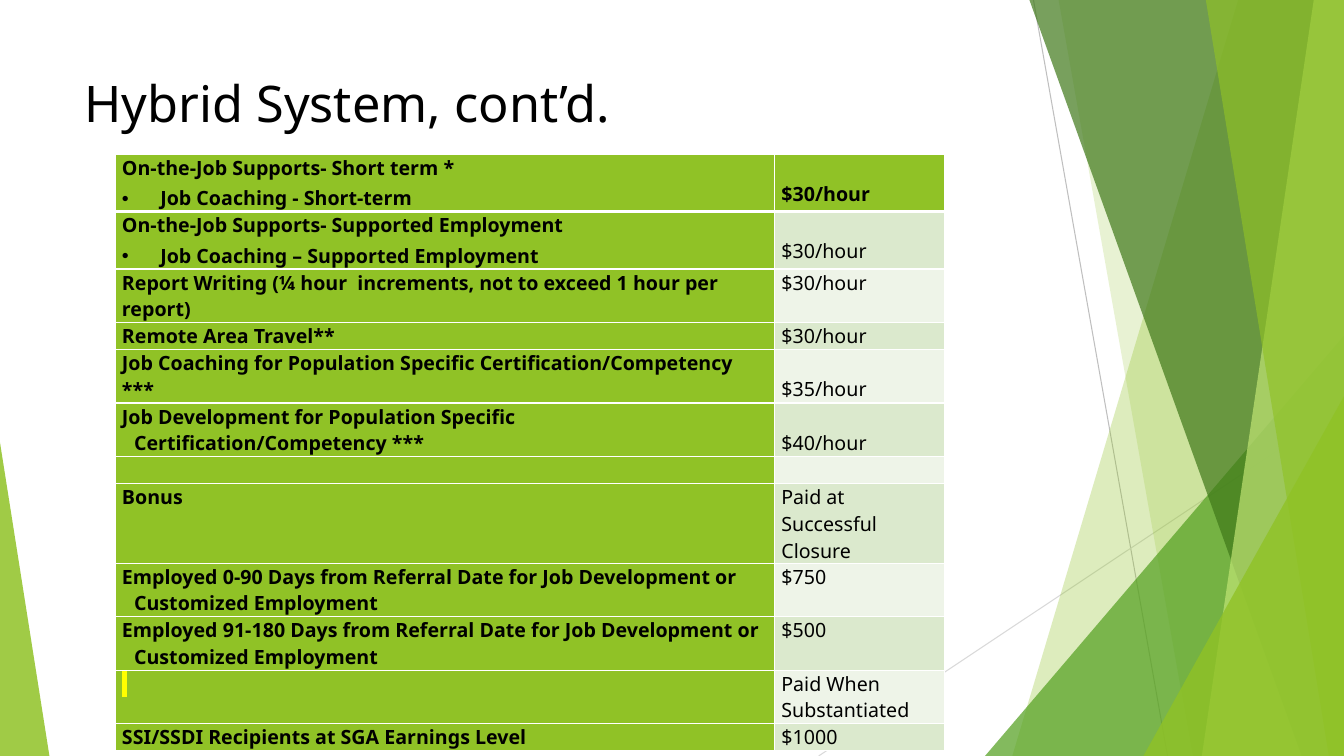
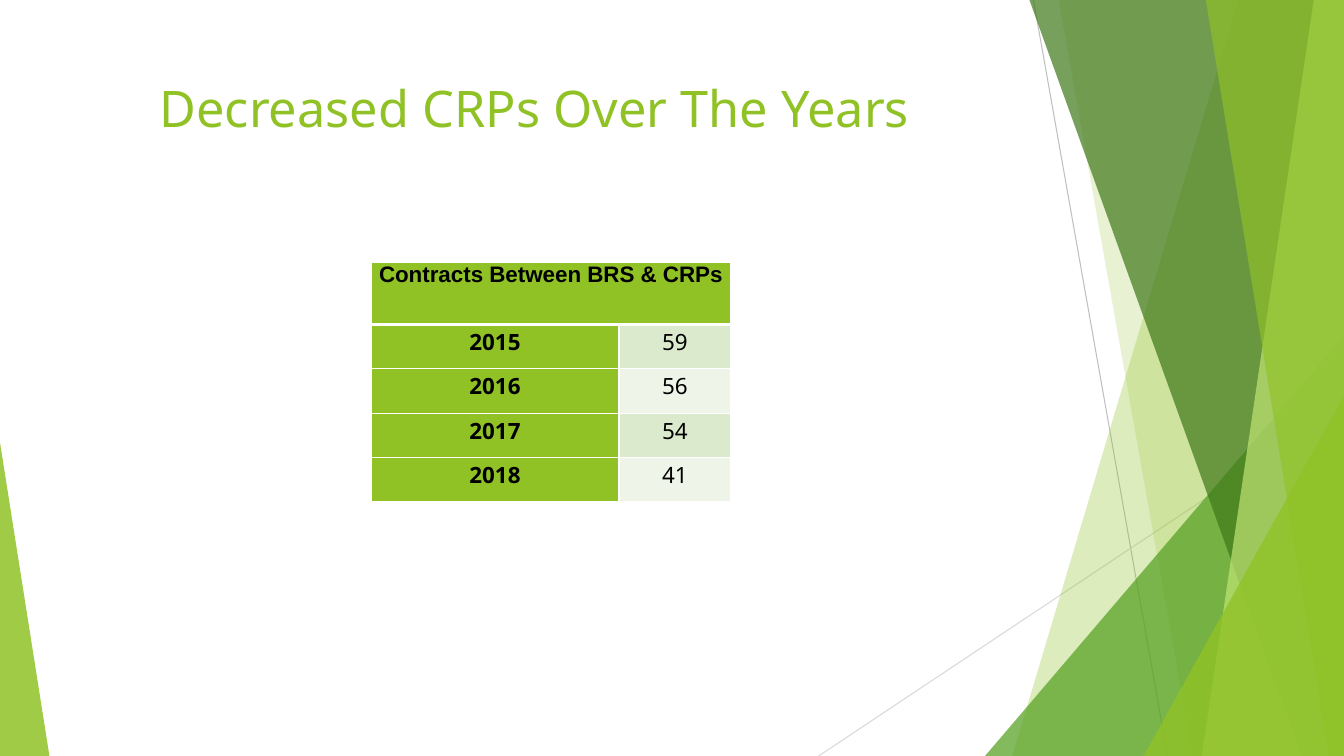
from dataclasses import dataclass

from lxml import etree
from pptx import Presentation, util as u
from pptx.dml.color import RGBColor
from pptx.enum import shapes, text
from pptx.oxml import ns

WIDTH, HEIGHT = 13.33, 7.5
NBSP = "\u00a0"


@dataclass(frozen=True)
class Theme:
    """Colours, fonts and type sizes shared by the slides."""
    green: str = "90C226"
    leaf: str = "54A021"
    forest: str = "3F7819"
    lime: str = "C0E474"
    tint: str = "DBE9CD"
    pale: str = "EEF4E8"
    ink: str = "000000"
    white: str = "FFFFFF"
    yellow: str = "FFFF00"
    line: str = "BFBFBF"
    faint_line: str = "D9D9D9"
    font: str = "Noto Sans"
    header_font: str = "Arial"
    bullet_font: str = "Arial"
    title: float = 36
    rates: float = 14
    contracts: float = 16


T = Theme()

# label, rate, and the number of lines the rate is set down by
RATES = [
    ("On-the-Job Supports- Short term *\nJob Coaching - Short-term", "$30/hour", 1),
    ("On-the-Job Supports- Supported Employment\n"
     "Job Coaching – Supported Employment", "$30/hour", 1),
    ("Report Writing (¼ hour  increments, not to exceed 1 hour per report)", "$30/hour", 0),
    ("Remote Area Travel**", "$30/hour", 0),
    ("Job Coaching for Population Specific Certification/Competency ***\t", "$35/hour", 1),
    ("Job Development for Population Specific Certification/Competency ***", "$40/hour", 1),
    (NBSP, NBSP, 0),
    ("Bonus", "Paid at Successful Closure", 0),
    ("Employed 0-90 Days from Referral Date for Job Development or Customized Employment",
     "$750", 0),
    ("Employed 91-180 Days from Referral Date for Job Development or Customized Employment",
     "$500", 0),
    (NBSP, "Paid When Substantiated", 0),
    ("SSI/SSDI Recipients at SGA Earnings Level", "$1000", 0),
]
ONE_LINE, TWO_LINES, THREE_LINES, WITH_BULLET = 0.27, 0.53, 0.79, 0.57
RATE_HEIGHTS = [WITH_BULLET, WITH_BULLET, TWO_LINES, ONE_LINE, TWO_LINES, TWO_LINES,
                ONE_LINE, THREE_LINES, TWO_LINES, TWO_LINES, TWO_LINES, ONE_LINE]
FIRST_HANGING_ROW = 5
HIGHLIGHT_ROW = 10
CONTRACTS = [("2015", "59"), ("2016", "56"), ("2017", "54"), ("2018", "41")]


def sub(parent, tag, **attrs):
    """Add a DrawingML child element and return it."""
    return etree.SubElement(parent, ns.qn("a:" + tag), **attrs)


def write(p, content, size, color=T.ink, font=T.font, bold=False, align=None,
          hang=0, bullet=False, spacing=None, after=None, highlight=None):
    """Write one formatted run into a paragraph."""
    r = p.add_run()
    r.text = content
    r.font.size, r.font.bold, r.font.name = u.Pt(size), bold, font
    r.font.color.rgb = RGBColor.from_string(color)
    if align is not None:
        p.alignment = align
    if spacing:
        p.line_spacing = spacing
    if after:
        p.space_after = u.Pt(after)
    if hang:
        pPr = p._p.get_or_add_pPr()
        pPr.set("marL", str(u.Inches(hang)))
        pPr.set("indent", str(-u.Inches(hang)))
        if bullet:
            sub(pPr, "buFont", typeface=T.bullet_font)
            sub(pPr, "buChar", char="•")
    if highlight:
        rPr = r._r.get_or_add_rPr()
        mark = sub(rPr, "highlight")
        sub(mark, "srgbClr", val=highlight)
        rPr.find(ns.qn("a:solidFill")).addnext(mark)


def paint(sp, color, alpha):
    """Fill a shape with a translucent colour, without line or shadow."""
    sp.shadow.inherit = False
    sp.line.fill.background()
    sp.fill.solid()
    sp.fill.fore_color.rgb = RGBColor.from_string(color)
    clr = sp._element.spPr.find(".//" + ns.qn("a:srgbClr"))
    sub(clr, "alpha", val=str(alpha * 1000))


def add_band(s, top_x, bottom_x, color, alpha):
    """Draw a full-height band from a slanted edge to the right side."""
    points = [(top_x, 0), (WIDTH, 0), (WIDTH, HEIGHT), (bottom_x, HEIGHT)]
    points = [(u.Inches(x), u.Inches(y)) for x, y in points]
    builder = s.shapes.build_freeform(*points[0])
    builder.add_line_segments(points[1:])
    paint(builder.convert_to_shape(), color, alpha)


def add_corner(s, left, top, width, apex, color, alpha):
    """Draw a right triangle that stands on the bottom edge."""
    sp = s.shapes.add_shape(shapes.MSO_SHAPE.ISOSCELES_TRIANGLE, u.Inches(left),
                            u.Inches(top), u.Inches(width), u.Inches(HEIGHT - top))
    sp.adjustments[0] = apex
    paint(sp, color, alpha)


def add_line(s, x1, y1, x2, y2, color):
    """Draw a thin straight line."""
    c = s.shapes.add_connector(shapes.MSO_CONNECTOR.STRAIGHT, u.Inches(x1),
                               u.Inches(y1), u.Inches(x2), u.Inches(y2))
    c.line.width = u.Pt(0.75)
    c.line.color.rgb = RGBColor.from_string(color)
    sub(c._element.spPr, "effectLst")


def add_backdrop(s):
    """Draw the facets shared by all slides, from back to front."""
    add_line(s, 10.25, 0, 11.58, HEIGHT, T.line)
    add_line(s, WIDTH, 4.03, 8.12, HEIGHT, T.faint_line)
    add_band(s, 12.28, 10.04, T.green, 30)
    add_band(s, 10.5, 11.83, T.green, 20)
    add_corner(s, 9.77, 3.33, 3.56, 1, T.leaf, 72)
    add_band(s, 10.21, 12.91, T.forest, 70)
    add_band(s, 13.03, 11.92, T.lime, 70)
    add_band(s, 11.96, 13.18, T.green, 65)
    add_corner(s, 11.34, 3.93, 1.99, 1, T.green, 80)
    add_corner(s, 0, 4.39, 0.49, 0, T.green, 85)


def add_slide(prs):
    """Add a blank slide with the shared backdrop."""
    s = prs.slides.add_slide(prs.slide_layouts[6])
    add_backdrop(s)
    return s


def add_title(s, content, left, top, **fmt):
    """Add the slide title."""
    tf = s.shapes.add_textbox(u.Inches(left), u.Inches(top),
                              u.Inches(9.4), u.Inches(1.44)).text_frame
    tf.word_wrap = True
    write(tf.paragraphs[0], content, T.title, **fmt)


def style_cell(cell, row, color):
    """Set a cell's white borders, fill and margins; the header rule is thicker."""
    tcPr = cell._tc.get_or_add_tcPr()
    widths = {"L": 1, "R": 1, "T": 3 if row == 1 else 1, "B": 3 if row == 0 else 1}
    for side, width in widths.items():
        ln = sub(tcPr, "ln" + side, w=str(u.Pt(width)))
        sub(sub(ln, "solidFill"), "srgbClr", val=T.white)
    cell.fill.solid()
    cell.fill.fore_color.rgb = RGBColor.from_string(color)
    cell.margin_left = cell.margin_right = u.Inches(0.07)
    cell.margin_top = cell.margin_bottom = 0


def add_grid(s, left, top, widths, heights):
    """Add a table with green labels and values in alternating tints."""
    table = s.shapes.add_table(len(heights), len(widths), u.Inches(left), u.Inches(top),
                               u.Inches(sum(widths)), u.Inches(sum(heights))).table
    table.first_row = table.horz_banding = False
    for col, width in zip(table.columns, widths):
        col.width = u.Inches(width)
    for i, height in enumerate(heights):
        table.rows[i].height = u.Inches(height)
        value_fill = T.green if i == 0 else (T.pale, T.tint)[i % 2]
        style_cell(table.cell(i, 0), i, T.green)
        style_cell(table.cell(i, 1), i, value_fill)
    return table


def build_rates(prs):
    """Build the slide with the hourly rates and bonuses."""
    s = add_slide(prs)
    add_title(s, "Hybrid System, cont’d.", 0.74, 0.67)
    table = add_grid(s, 1.14, 1.53, [6.54, 1.69], RATE_HEIGHTS)
    for i, (label, rate, drop) in enumerate(RATES):
        tf = table.cell(i, 0).text_frame
        first, *details = label.split("\n")
        write(tf.paragraphs[0], first, T.rates, bold=True,
              hang=0.12 if i >= FIRST_HANGING_ROW and first != NBSP else 0,
              highlight=T.yellow if i == HIGHLIGHT_ROW else None)
        for detail in details:
            write(tf.add_paragraph(), detail, T.rates, bold=True,
                  hang=0.38, bullet=True, spacing=1.15)
        cell = table.cell(i, 1)
        cell.margin_top = u.Inches(0.26 * drop)
        write(cell.text_frame.paragraphs[0], rate, T.rates, bold=i == 0)


def build_contracts(prs):
    """Build the slide with the number of contracts per year."""
    s = add_slide(prs)
    center = text.PP_ALIGN.CENTER
    add_title(s, "Decreased CRPs Over The Years", 0.6, 0.72, color=T.green, align=center)
    table = add_grid(s, 3.68, 2.6, [2.46, 1.11], [0.62] + [0.44] * len(CONTRACTS))
    header = table.cell(0, 0)
    header.merge(table.cell(0, 1))
    write(header.text_frame.paragraphs[0], "Contracts Between BRS & CRPs", T.contracts,
          font=T.header_font, bold=True, align=center)
    for i, pair in enumerate(CONTRACTS, 1):
        for j, content in enumerate(pair):
            write(table.cell(i, j).text_frame.paragraphs[0], content, T.contracts,
                  bold=j == 0, align=center, spacing=1.07, after=8)


def main():
    """Build and save the presentation."""
    prs = Presentation()
    prs.slide_width, prs.slide_height = u.Inches(WIDTH), u.Inches(HEIGHT)
    build_rates(prs)
    build_contracts(prs)
    prs.save("out.pptx")


main()
